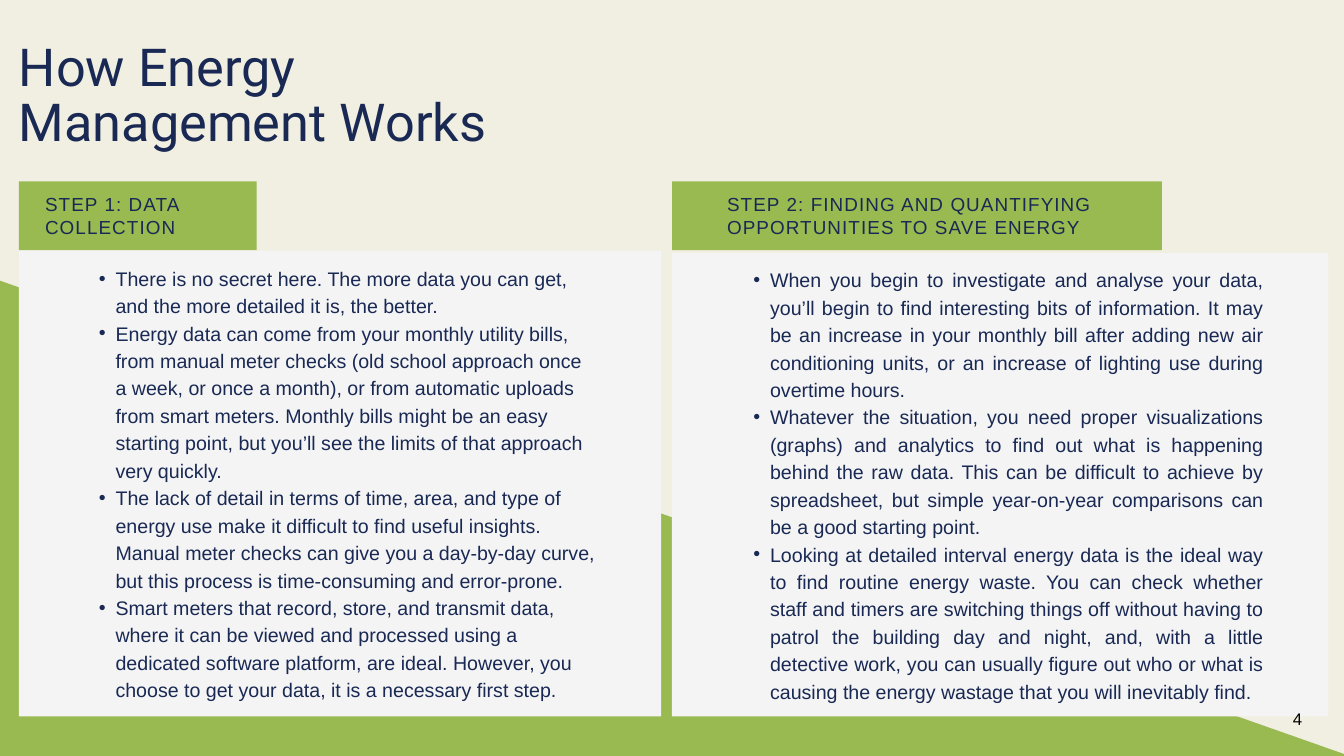
from lxml.etree import SubElement
from pptx import Presentation
from pptx.dml.color import RGBColor
from pptx.enum.shapes import MSO_SHAPE
from pptx.enum.text import PP_ALIGN
from pptx.oxml.ns import qn
from pptx.util import Inches, Pt

WIDE, HIGH = Inches(20), Inches(11.25)
CREAM = RGBColor(0xF1, 0xEF, 0xE1)
GREEN = RGBColor(0x99, 0xB9, 0x51)
PALE = RGBColor(0xF4, 0xF4, 0xF4)
NAVY = RGBColor(0x19, 0x29, 0x54)
BLACK = RGBColor(0, 0, 0)

TITLE = {"name": "Roboto", "size": Pt(56)}
LABEL = {"name": "Arial", "size": Pt(20.2)}
BODY = {"name": "Arial", "size": Pt(21)}
PAGE = {"name": "Arial", "size": Pt(18)}

STEPS = [
    {
        "tab": (1.4, 24, 17.7, 9.1),
        "head": (3.35, 25.5, 13.75, 5.96),
        "panel": (1.4, 33.15, 47.8, 61.6),
        "body": (6.1, 34.75, 38.35, 57.87),
        "align": PP_ALIGN.LEFT,
        "label": "STEP 1: DATA COLLECTION",
        "points": [
            "There is no secret here. The more data you can get, and the more detailed it is, the better.",
            "Energy data can come from your monthly utility bills, from manual meter checks (old school approach once a week, or once a month), or from automatic uploads from smart meters. Monthly bills might be an easy starting point, but you’ll see the limits of that approach very quickly.",
            "The lack of detail in terms of time, area, and type of energy use make it difficult to find useful insights. Manual meter checks can give you a day-by-day curve, but this process is time-consuming and error-prone.",
            "Smart meters that record, store, and transmit data, where it can be viewed and processed using a dedicated software platform, are ideal. However, you choose to get your data, it is a necessary first step.",
        ],
    },
    {
        "tab": (50, 24, 36.45, 9.1),
        "head": (54.1, 25.5, 28.3, 5.96),
        "panel": (50, 33.5, 48.85, 61.25),
        "body": (54.8, 34.95, 39.2, 57.87),
        "align": PP_ALIGN.JUSTIFY,
        "label": "STEP 2: FINDING AND QUANTIFYING OPPORTUNITIES TO SAVE ENERGY",
        "points": [
            "When you begin to investigate and analyse your data, you’ll begin to find interesting bits of information. It may be an increase in your monthly bill after adding new air conditioning units, or an increase of lighting use during overtime hours.",
            "Whatever the situation, you need proper visualizations (graphs) and analytics to find out what is happening behind the raw data. This can be difficult to achieve by spreadsheet, but simple year-on-year comparisons can be a good starting point.",
            "Looking at detailed interval energy data is the ideal way to find routine energy waste. You can check whether staff and timers are switching things off without having to patrol the building day and night, and, with a little detective work, you can usually figure out who or what is causing the energy wastage that you will inevitably find.",
        ],
    },
]


def place(area):
    x, y, w, h = area
    return [round(part * side / 100) for part, side in ((x, WIDE), (y, HIGH), (w, WIDE), (h, HIGH))]


def add_block(slide, area, color, turn=0):
    block = slide.shapes.add_shape(MSO_SHAPE.RECTANGLE, *place(area))
    block.fill.solid()
    block.fill.fore_color.rgb = color
    block.line.fill.background()
    block.shadow.inherit = False
    block.rotation = turn


def add_bullet(para):
    para.level = 1
    props = para._p.get_or_add_pPr()
    props.set("marL", str(Inches(0.5)))
    props.set("indent", str(Inches(-0.25)))
    SubElement(props, qn("a:buFont")).set("typeface", "Arial")
    SubElement(props, qn("a:buChar")).set("char", "•")


def add_text(slide, area, lines, style, lead, color=NAVY, align=PP_ALIGN.LEFT, dots=False, track=0):
    frame = slide.shapes.add_textbox(*place(area)).text_frame
    frame.word_wrap = True
    for side in ("left", "top", "right", "bottom"):
        setattr(frame, f"margin_{side}", 0)
    for spot, line in enumerate(lines):
        para = frame.add_paragraph() if spot else frame.paragraphs[0]
        para.alignment = align
        para.line_spacing = Pt(lead)
        if dots:
            add_bullet(para)
        run = para.add_run()
        run.text = line
        for key, value in style.items():
            setattr(run.font, key, value)
        run.font.color.rgb = color
        if track:
            run._r.get_or_add_rPr().set("spc", str(track))


def add_step(slide, step):
    add_block(slide, step["tab"], GREEN)
    add_text(slide, step["head"], [step["label"]], LABEL, 24.2, track=120)
    add_block(slide, step["panel"], PALE)
    add_text(slide, step["body"], step["points"], BODY, 29.4, align=step["align"], dots=True)


def main():
    deck = Presentation()
    deck.slide_width, deck.slide_height = WIDE, HIGH
    slide = deck.slides.add_slide(deck.slide_layouts[6])
    slide.background.fill.solid()
    slide.background.fill.fore_color.rgb = CREAM
    add_block(slide, (-36.45, 59.82, 136.95, 88.09), GREEN, 199.4)
    add_text(slide, (1.4, 5.6, 38.5, 14.84), ["How Energy Management Works"], TITLE, 58.8)
    for step in STEPS:
        add_step(slide, step)
    add_text(slide, (96.2, 93.33, 0.7, 3.2), ["4"], PAGE, 25.2, BLACK, PP_ALIGN.CENTER)
    deck.save("out.pptx")


if __name__ == "__main__":
    main()
